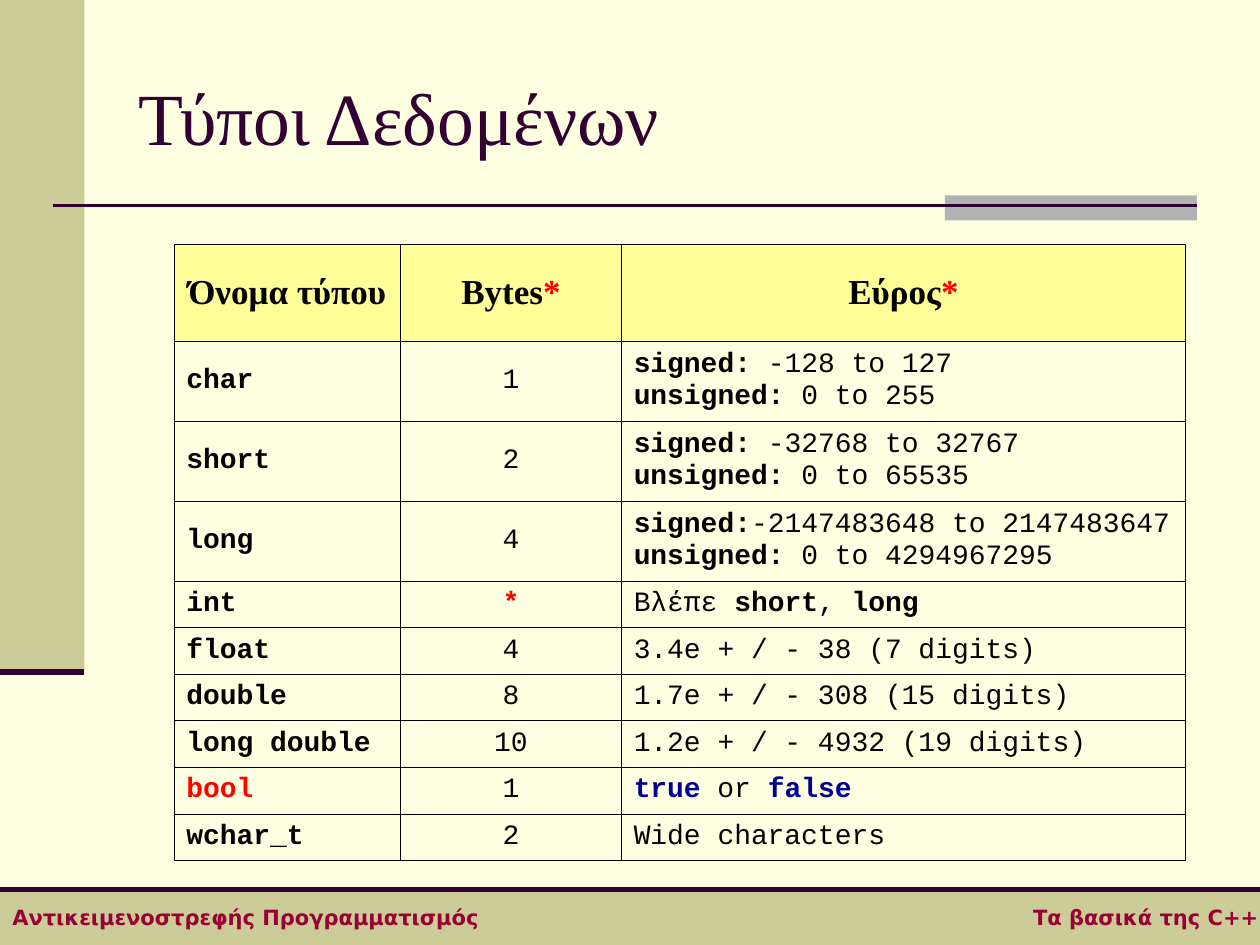
from lxml.etree import SubElement
from pptx import Presentation
from pptx.dml.color import RGBColor
from pptx.enum.shapes import MSO_CONNECTOR, MSO_SHAPE
from pptx.enum.text import MSO_ANCHOR, PP_ALIGN
from pptx.oxml import parse_xml
from pptx.oxml.ns import nsdecls, qn
from pptx.util import Inches, Pt

WIDTH, HEIGHT = 10, 7.5
COLOURS = {
    "page": "FFFFE1", "band": "CCCC99", "accent": "B2B2B2", "rule": "330033",
    "footer": "990033", "header": "FFFF99", "black": "000000",
    "red": "FF0000", "blue": "000099",
}
TITLE = "Τύποι Δεδομένων"
FOOTER = "Αντικειμενοστρεφής Προγραμματισμός\tΤα βασικά της C++"

# Text formats
TITLE_FORMAT = {"name": "Times New Roman", "size": Pt(42), "colour": "rule"}
FOOTER_FORMAT = {"name": "DejaVu Sans", "size": Pt(12), "bold": True, "colour": "footer"}
HEADER_FORMAT = {"name": "Times New Roman", "size": Pt(20), "bold": True, "colour": "black"}
BODY_FORMAT = {"name": "Courier New", "size": Pt(16), "bold": False, "colour": "black"}
BOLD = {"bold": True}
RED = {"bold": True, "colour": "red"}
BLUE = {"bold": True, "colour": "blue"}
PLAIN = {}


def signed_range(signed, unsigned):
    return [[("signed:", BOLD), (signed, PLAIN)],
            [("unsigned:", BOLD), (unsigned, PLAIN)]]


# A cell is a list of lines, and a line is a list of (text, format) spans
HEADINGS = [
    [[("Όνομα τύπου", PLAIN)]],
    [[("Bytes", PLAIN), ("*", RED)]],
    [[("Εύρος", PLAIN), ("*", RED)]],
]
TYPES = [  # name, name format, bytes, bytes format, range
    ("char", BOLD, "1", PLAIN, signed_range(" -128 to 127", " 0 to 255")),
    ("short", BOLD, "2", PLAIN, signed_range(" -32768 to 32767", " 0 to 65535")),
    ("long", BOLD, "4", PLAIN, signed_range("-2147483648 to 2147483647", " 0 to 4294967295")),
    ("int", BOLD, "*", RED,
     [[("Βλέπε ", PLAIN), ("short", BOLD), (", ", PLAIN), ("long", BOLD)]]),
    ("float", BOLD, "4", PLAIN, [[("3.4e + / - 38 (7 digits)", PLAIN)]]),
    ("double", BOLD, "8", PLAIN, [[("1.7e + / - 308 (15 digits)", PLAIN)]]),
    ("long double", BOLD, "10", PLAIN, [[("1.2e + / - 4932 (19 digits)", PLAIN)]]),
    ("bool", RED, "1", PLAIN, [[("true", BLUE), (" or ", PLAIN), ("false", BLUE)]]),
    ("wchar_t", BOLD, "2", PLAIN, [[("Wide characters", PLAIN)]]),
]
COLUMN_WIDTHS = (1.8, 1.75, 4.48)
HEADER_HEIGHT, ROW_HEIGHTS = 0.77, {1: 0.37, 2: 0.63}  # by number of lines

# Frame of the slide
SIDE_WIDTH, SIDE_HEIGHT = 0.67, 5.33
FOOTER_TOP = 7.06
TITLE_RULE = 1.63


def colour(name):
    return RGBColor.from_string(COLOURS[name])


def add_span(para, text, style):
    span = para.add_run()
    span.text = text
    for key, value in style.items():
        if key == "colour":
            span.font.color.rgb = colour(value)
        else:
            setattr(span.font, key, value)


def add_band(page, left, top, width, height, fill):
    band = page.shapes.add_shape(
        MSO_SHAPE.RECTANGLE, *map(Inches, (left, top, width, height)))
    band.shadow.inherit = False
    band.fill.solid()
    band.fill.fore_color.rgb = colour(fill)
    band.line.fill.background()
    return band


def add_rule(page, left, right, top, weight):
    rule = page.shapes.add_connector(
        MSO_CONNECTOR.STRAIGHT, *map(Inches, (left, top, right, top)))
    rule.line.color.rgb = colour("rule")
    rule.line.width = Pt(weight)
    SubElement(rule._element.spPr, qn("a:effectLst"))


def add_footer(page):
    box = add_band(page, 0, FOOTER_TOP, WIDTH, HEIGHT - FOOTER_TOP, "band")
    frame = box.text_frame
    frame.word_wrap = True
    frame.margin_right = 0
    frame.vertical_anchor = MSO_ANCHOR.MIDDLE
    para = frame.paragraphs[0]
    para.alignment = PP_ALIGN.LEFT
    tabs = SubElement(para._p.get_or_add_pPr(), qn("a:tabLst"))
    SubElement(tabs, qn("a:tab"), pos=str(Inches(WIDTH - 0.11)), algn="r")
    add_span(para, FOOTER, FOOTER_FORMAT)


def add_title(page):
    box = page.shapes.add_textbox(*map(Inches, (1, 0.3, 8.5, 1.25)))
    box.text_frame.word_wrap = True
    box.text_frame.vertical_anchor = MSO_ANCHOR.MIDDLE
    add_span(box.text_frame.paragraphs[0], TITLE, TITLE_FORMAT)


def fill_cell(cell, lines, style, align, fill=None):
    cell.vertical_anchor = MSO_ANCHOR.MIDDLE
    cell.margin_left = cell.margin_right = Inches(0.1)
    cell.margin_top = cell.margin_bottom = Inches(0.05)
    for side in ("lnL", "lnR", "lnT", "lnB"):
        cell._tc.get_or_add_tcPr().append(parse_xml(
            f'<a:{side} {nsdecls("a")} w="{Pt(0.34)}"><a:solidFill>'
            f'<a:srgbClr val="{COLOURS["black"]}"/></a:solidFill></a:{side}>'))
    if fill:
        cell.fill.solid()
        cell.fill.fore_color.rgb = colour(fill)
    else:
        cell.fill.background()
    para = cell.text_frame.paragraphs[0]
    para.alignment = align
    for number, line in enumerate(lines):
        if number:
            para.add_line_break()
        for text, extra in line:
            add_span(para, text, {**style, **extra})


def add_type_table(page):
    heights = [HEADER_HEIGHT] + [ROW_HEIGHTS[len(entry[-1])] for entry in TYPES]
    table = page.shapes.add_table(
        len(heights), len(COLUMN_WIDTHS),
        *map(Inches, (1.38, 1.94, sum(COLUMN_WIDTHS), sum(heights)))).table
    table.horz_banding = False
    for column, width in zip(table.columns, COLUMN_WIDTHS):
        column.width = Inches(width)
    for row, height in zip(table.rows, heights):
        row.height = Inches(height)
    for cell, lines in zip(table.rows[0].cells, HEADINGS):
        fill_cell(cell, lines, HEADER_FORMAT, PP_ALIGN.CENTER, "header")
    aligns = (PP_ALIGN.LEFT, PP_ALIGN.CENTER, PP_ALIGN.LEFT)
    for index, (name, name_format, size, size_format, extent) in enumerate(TYPES, 1):
        contents = ([[(name, name_format)]], [[(size, size_format)]], extent)
        for cell, lines, align in zip(table.rows[index].cells, contents, aligns):
            fill_cell(cell, lines, BODY_FORMAT, align)


def main():
    deck = Presentation()
    deck.slide_width, deck.slide_height = Inches(WIDTH), Inches(HEIGHT)
    page = deck.slides.add_slide(deck.slide_layouts[6])
    page.background.fill.solid()
    page.background.fill.fore_color.rgb = colour("page")
    add_band(page, 0, 0, SIDE_WIDTH, SIDE_HEIGHT, "band")
    add_band(page, 7.5, 1.55, 2, 0.2, "accent")
    add_rule(page, 0.42, 9.5, TITLE_RULE, 1.5)
    add_rule(page, 0, SIDE_WIDTH, SIDE_HEIGHT, 3.5)
    add_footer(page)
    add_rule(page, 0, WIDTH, FOOTER_TOP, 3)
    add_title(page)
    add_type_table(page)
    deck.save("out.pptx")


if __name__ == "__main__":
    main()
